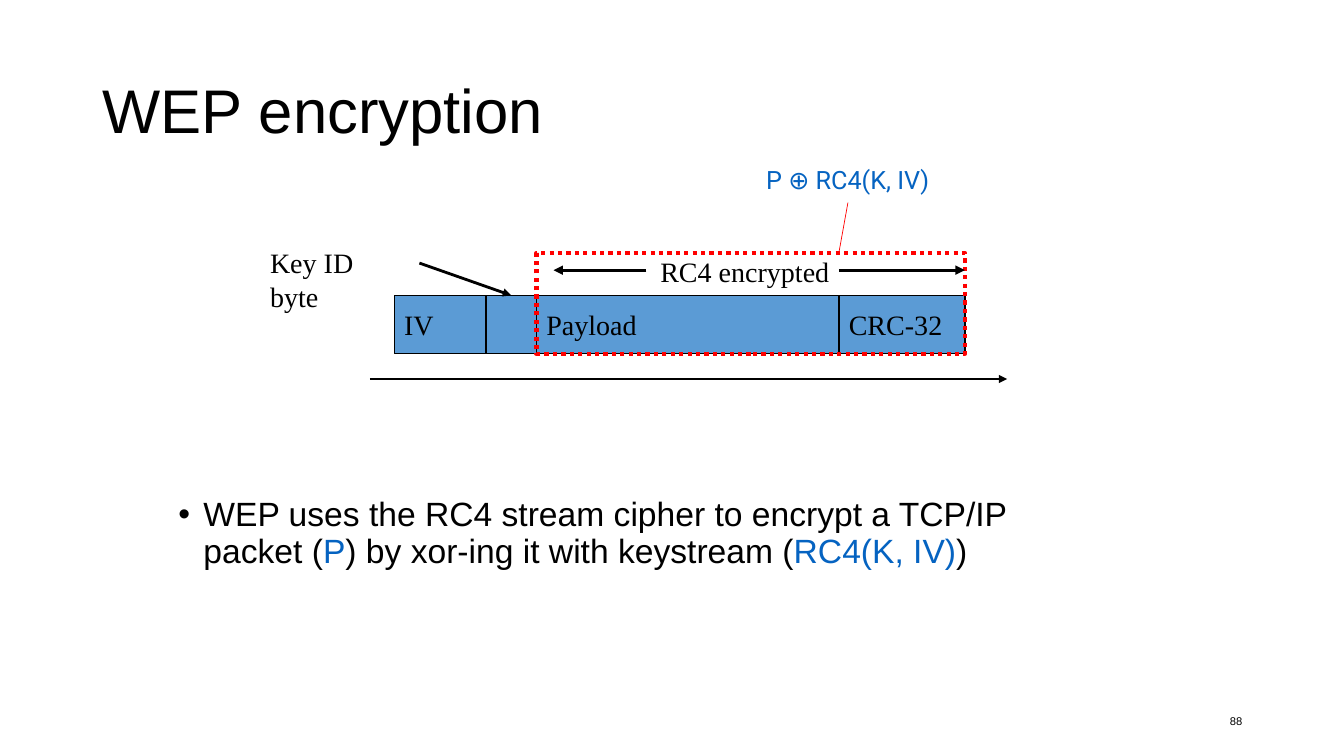
from lxml import etree
from pptx import Presentation
from pptx.dml.color import RGBColor
from pptx.enum.dml import MSO_LINE
from pptx.enum.shapes import MSO_CONNECTOR, MSO_SHAPE
from pptx.enum.text import MSO_ANCHOR, PP_ALIGN
from pptx.oxml.ns import qn
from pptx.util import Inches, Pt

LEFT, RIGHT = PP_ALIGN.LEFT, PP_ALIGN.RIGHT
TOP, MIDDLE = MSO_ANCHOR.TOP, MSO_ANCHOR.MIDDLE
RECTANGLE, STRAIGHT = MSO_SHAPE.RECTANGLE, MSO_CONNECTOR.STRAIGHT
DOTTED = MSO_LINE.ROUND_DOT
BLACK, BLUE, RED, FIELD_FILL = "000000", "0563C1", "FF0000", "5B9BD5"
SERIF = "Times New Roman"


def rgb(value):
    return RGBColor.from_string(value)


def write(shape, text, size, font, color=BLACK, anchor=TOP, align=LEFT, wrap=False):
    frame = shape.text_frame
    frame.word_wrap = wrap
    frame.vertical_anchor = anchor
    frame.text = text
    paragraph = frame.paragraphs[0]
    paragraph.alignment = align
    for run in paragraph.runs:
        run.font.size = Pt(size)
        run.font.name = font
        run.font.color.rgb = rgb(color)
    return paragraph


prs = Presentation()
prs.slide_width, prs.slide_height = Inches(13.33), Inches(7.5)
slide = prs.slides.add_slide(prs.slide_layouts[6])
shapes = slide.shapes

# Title and slide number
title = shapes.add_textbox(Inches(0.92), Inches(0.4), Inches(11.5), Inches(1.45))
write(title, "WEP encryption", 44, "Arial", anchor=MIDDLE, wrap=True).line_spacing = 0.9
number = shapes.add_textbox(Inches(9.42), Inches(6.95), Inches(3), Inches(0.4))
write(number, "88", 8, "Arial", anchor=MIDDLE, align=RIGHT, wrap=True)

# Explanation bullet
explanation = shapes.add_textbox(Inches(1.67), Inches(4.89), Inches(9), Inches(1.69))
bullet = write(explanation, "WEP uses the RC4 stream cipher to encrypt a TCP/IP\vpacket (",
               24, "Arial", wrap=True)
bullet.line_spacing = 0.9
properties = bullet._p.get_or_add_pPr()
properties.set("marL", str(Inches(0.25)))
properties.set("indent", str(-Inches(0.25)))
etree.SubElement(properties, qn("a:buFont"), typeface="Arial")
etree.SubElement(properties, qn("a:buChar"), char="•")
for words, color in [("P", BLUE), (") by xor-ing it with keystream (", BLACK),
                     ("RC4(K, IV)", BLUE), (")", BLACK)]:
    run = bullet.add_run()
    run.text = words
    run.font.size = Pt(24)
    run.font.name = "Arial"
    run.font.color.rgb = rgb(color)

# Packet fields, side by side
field_left = 3.91
for name, width in [("IV", 0.91), ("", 0.5), ("Payload", 3), ("CRC-32", 1.25)]:
    field = shapes.add_shape(RECTANGLE, Inches(field_left), Inches(2.93),
                             Inches(width), Inches(0.58))
    field.shadow.inherit = False
    field.fill.solid()
    field.fill.fore_color.rgb = rgb(FIELD_FILL)
    field.line.color.rgb = rgb(BLACK)
    field.line.width = Pt(1)
    if name:
        write(field, name, 20, SERIF, anchor=MIDDLE)
    field_left += width

# Encrypted part
encrypted = shapes.add_shape(RECTANGLE, Inches(5.32), Inches(2.51), Inches(4.25), Inches(1))
encrypted.shadow.inherit = False
encrypted.fill.background()
encrypted.line.color.rgb = rgb(RED)
encrypted.line.width = Pt(3)
encrypted.line.dash_style = DOTTED

# Labels
for text, left, top, width, height, size, font, color, anchor in [
    ("Key ID byte", 2.58, 2.39, 1.57, 0.43, 20, SERIF, BLACK, TOP),
    ("RC4 encrypted", 6.45, 2.48, 1.88, 0.43, 20, SERIF, BLACK, TOP),
    ("P ⊕ RC4(K, IV)", 7.5, 1.58, 1.88, 0.4, 18, "Roboto", BLUE, MIDDLE),
]:
    label = shapes.add_textbox(Inches(left), Inches(top), Inches(width), Inches(height))
    write(label, text, size, font, color, anchor)

# Transmission arrow, key pointer, extent arrows and formula leader
for x1, y1, x2, y2, color, weight, arrow in [
    (3.67, 3.76, 9.99, 3.76, BLACK, 0.75, True),
    (4.16, 2.61, 5.07, 2.93, BLACK, 2, True),
    (6.41, 2.68, 5.49, 2.68, BLACK, 2.25, True),
    (8.32, 2.68, 9.57, 2.68, BLACK, 2.25, True),
    (8.32, 2.51, 8.41, 2.01, RED, 0.5, False),
]:
    line = shapes.add_connector(STRAIGHT, Inches(x1), Inches(y1), Inches(x2), Inches(y2))
    line.line.color.rgb = rgb(color)
    line.line.width = Pt(weight)
    if arrow:
        etree.SubElement(line.line._get_or_add_ln(), qn("a:tailEnd"), type="triangle")
    etree.SubElement(line._element.spPr, qn("a:effectLst"))

prs.save("out.pptx")
